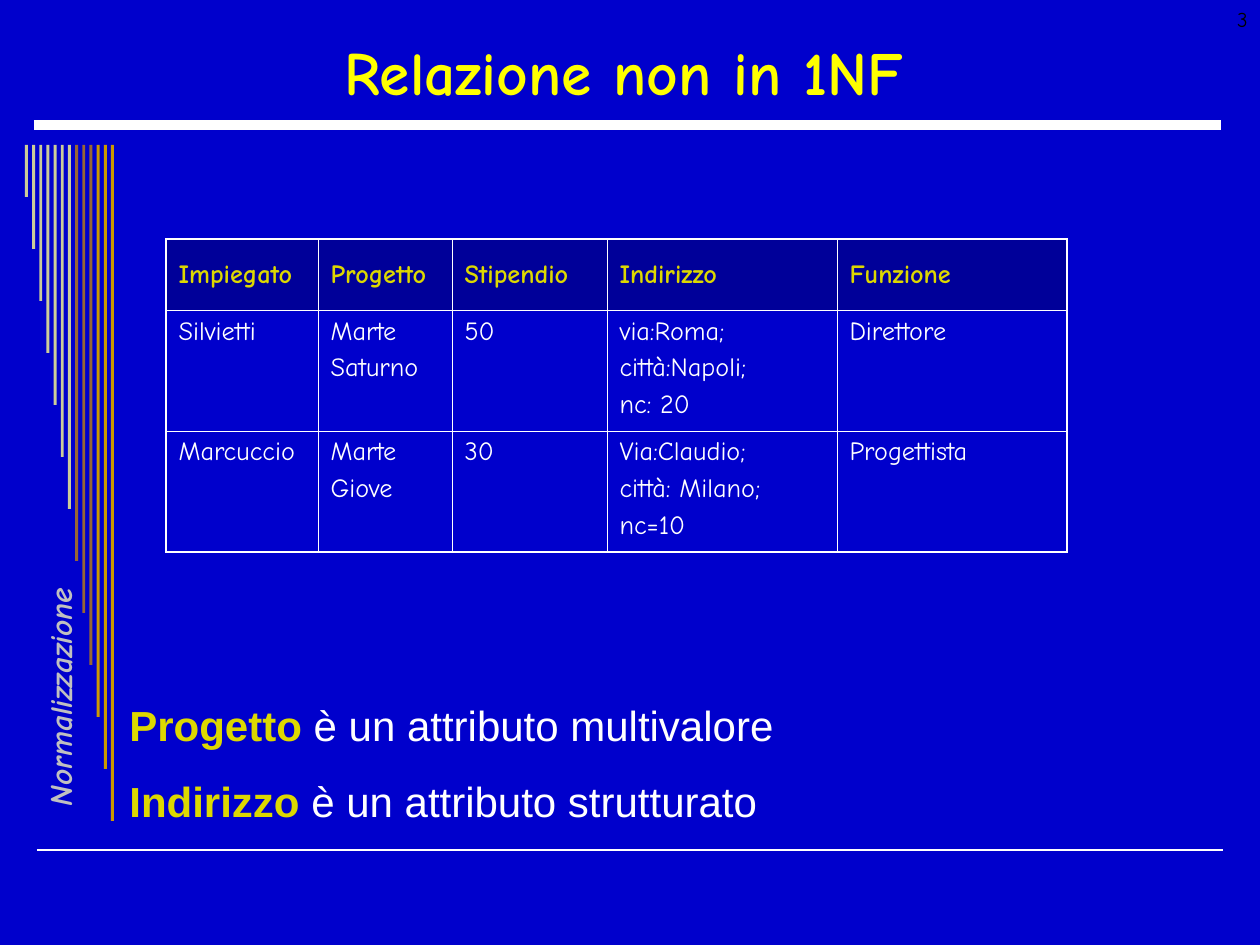
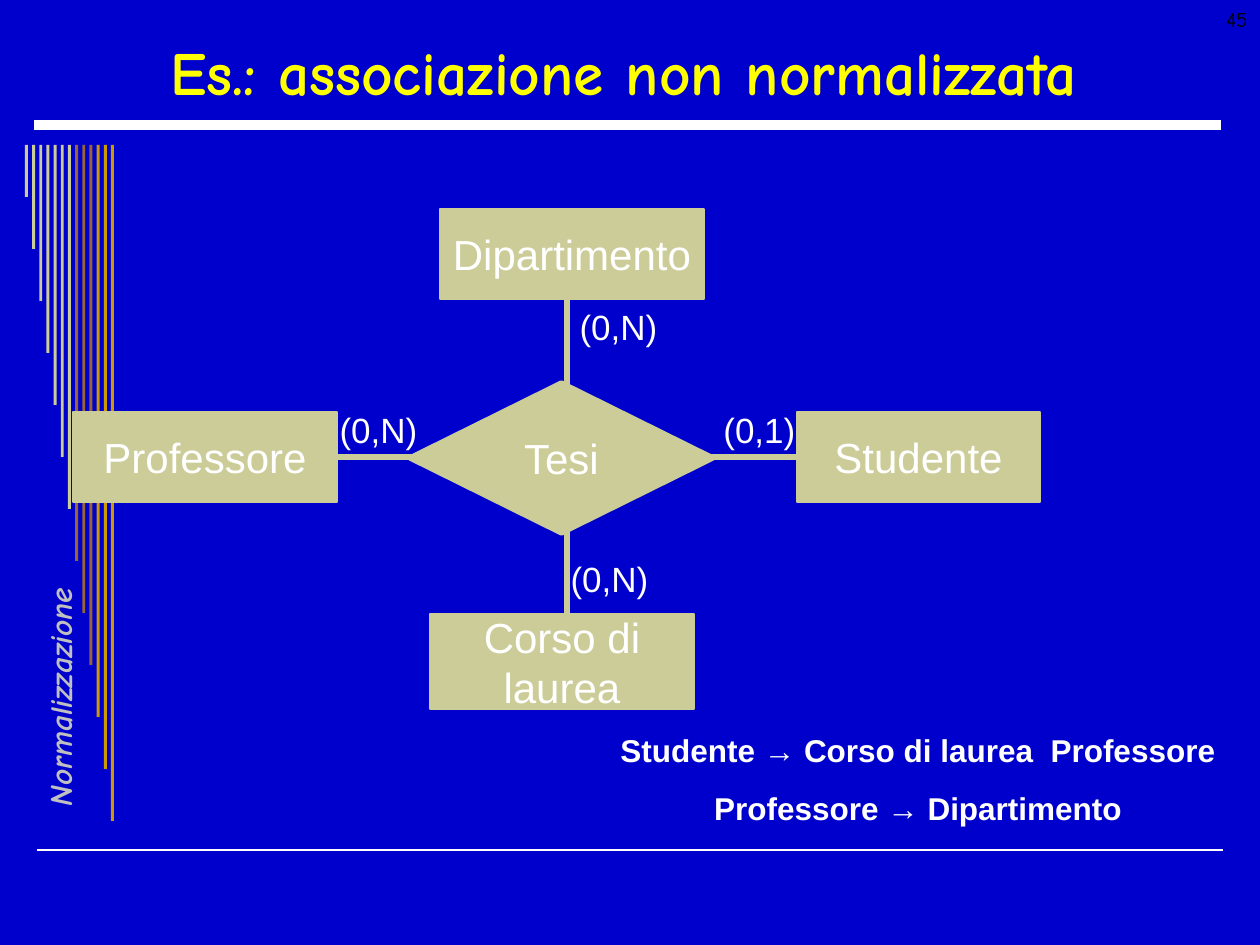
"""Build two lecture slides on database normalization."""
from dataclasses import dataclass

from lxml import etree
from pptx import Presentation, util as u
from pptx.dml.color import RGBColor
from pptx.enum import shapes, text
from pptx.oxml import ns

EMU_PER_PX = 914400 / 126


@dataclass(frozen=True)
class Theme:
    background: str = "0000CC"
    white: str = "FFFFFF"
    black: str = "000000"
    title: str = "FFFF00"
    accent: str = "DDD800"
    header: str = "000099"
    sidebar: str = "C0C0C0"
    sand: str = "CCCC99"
    brown: str = "996633"
    gold: str = "CC9900"
    display_font: str = "Comic Neue"
    body_font: str = "Arial"
    title_size: int = 35
    body_size: int = 24
    label_size: int = 20
    note_size: int = 18
    table_size: int = 15
    number_size: int = 12
    outer_border: float = 1.08
    inner_border: float = 0.45


THEME = Theme()
ALIGN = text.PP_ALIGN
ANCHOR = text.MSO_ANCHOR
HIGHLIGHT = {"color": THEME.accent, "bold": True}


def px(length):
    return u.Emu(round(length * EMU_PER_PX))


def box(*lengths):
    return [px(length) for length in lengths]


def rgb(color):
    return RGBColor.from_string(color)


def format_font(font, size, name, color, bold, italic):
    font.size = u.Pt(size)
    font.name = name
    font.color.rgb = rgb(color)
    font.bold = bold
    font.italic = italic


def write(frame, content, size=THEME.body_size, font=THEME.body_font,
          color=THEME.white, bold=False, italic=False, align=ALIGN.LEFT,
          anchor=ANCHOR.TOP, wrap=True, space_before=0):
    """Fill a frame; each paragraph is a string or a list of (text, format) runs."""
    frame.word_wrap = wrap
    frame.vertical_anchor = anchor
    paragraphs = [content] if isinstance(content, str) else content
    for index, runs in enumerate(paragraphs):
        paragraph = frame.add_paragraph() if index else frame.paragraphs[0]
        paragraph.alignment = align
        paragraph.space_before = u.Pt(space_before if index else 0)
        for words, changes in [(runs, {})] if isinstance(runs, str) else runs:
            run = paragraph.add_run()
            run.text = words
            look = {"color": color, "bold": bold, **changes}
            format_font(run.font, size, font, italic=italic, **look)


def add_text(slide, place, content, **look):
    shape = slide.shapes.add_textbox(*box(*place))
    write(shape.text_frame, content, **look)
    return shape


def add_block(slide, kind, place, color, line_width=0):
    shape = slide.shapes.add_shape(kind, *box(*place))
    shape.shadow.inherit = False
    shape.fill.solid()
    shape.fill.fore_color.rgb = rgb(color)
    if line_width:
        shape.line.color.rgb = rgb(color)
        shape.line.width = u.Pt(line_width)
    else:
        shape.line.fill.background()
    return shape


def add_line(slide, start, end, color, width):
    line = slide.shapes.add_connector(
        shapes.MSO_CONNECTOR.STRAIGHT, *box(*start, *end))
    line.line.color.rgb = rgb(color)
    line.line.width = u.Pt(width)
    etree.SubElement(line._element.spPr, ns.qn("a:effectLst"))
    return line


def add_stripes(slide):
    colors = [THEME.sand] * 7 + [THEME.brown] * 3 + [THEME.gold] * 3
    for index, color in enumerate(colors):
        place = (25 + 7.17 * index, 145, 3, 52 * (index + 1))
        add_block(slide, shapes.MSO_SHAPE.RECTANGLE, place, color)


def add_slide(presentation, title, number):
    slide = presentation.slides.add_slide(presentation.slide_layouts[6])
    add_line(slide, (37, 850), (1223, 850), THEME.white, 1)
    add_line(slide, (34, 125), (1221, 125), THEME.white, 6)
    add_stripes(slide)
    sidebar = add_text(slide, (-94, 660, 287, 30), "Normalizzazione",
                       size=THEME.note_size, font=THEME.display_font,
                       color=THEME.sidebar, bold=True, italic=True, wrap=False)
    sidebar.rotation = 270
    add_text(slide, (44, 26, 1160, 90), title, size=THEME.title_size,
             font=THEME.display_font, color=THEME.title, bold=True,
             align=ALIGN.CENTER, anchor=ANCHOR.MIDDLE)
    add_text(slide, (966, 0, 294, 63), number, size=THEME.number_size,
             font=THEME.display_font, color=THEME.black, align=ALIGN.RIGHT)
    return slide


def set_borders(cell, outer_sides):
    properties = cell._tc.get_or_add_tcPr()
    for side, is_outer in outer_sides.items():
        width = THEME.outer_border if is_outer else THEME.inner_border
        line = etree.SubElement(properties, ns.qn(f"a:ln{side}"), w=str(u.Pt(width)))
        fill = etree.SubElement(line, ns.qn("a:solidFill"))
        etree.SubElement(fill, ns.qn("a:srgbClr"), val=THEME.white)


def add_table(slide, left, top, widths, heights, rows):
    place = box(left, top, sum(widths), sum(heights))
    table = slide.shapes.add_table(len(rows), len(widths), *place).table
    table.first_row = table.horz_banding = False
    for column, width in zip(table.columns, widths):
        column.width = px(width)
    for row, height in zip(table.rows, heights):
        row.height = px(height)
    for row_index, row in enumerate(rows):
        is_header = row_index == 0
        look = dict(HIGHLIGHT, anchor=ANCHOR.MIDDLE) if is_header else {}
        for column_index, content in enumerate(row):
            cell = table.cell(row_index, column_index)
            set_borders(cell, {"L": column_index == 0,
                               "R": column_index == len(widths) - 1,
                               "T": is_header,
                               "B": row_index == len(rows) - 1})
            if is_header:
                cell.fill.solid()
                cell.fill.fore_color.rgb = rgb(THEME.header)
            else:
                cell.fill.background()
            write(cell.text_frame, content, size=THEME.table_size,
                  font=THEME.display_font, space_before=3.7, **look)
            cell.vertical_anchor = look.get("anchor", ANCHOR.TOP)


def add_node(slide, place, content, kind=shapes.MSO_SHAPE.RECTANGLE, line_width=0.75):
    node = add_block(slide, kind, place, THEME.sand, line_width)
    write(node.text_frame, content, align=ALIGN.CENTER,
          anchor=ANCHOR.MIDDLE, wrap=False)
    return node


def add_cardinality(slide, left, top, content):
    add_text(slide, (left, top, 103, 55), content, size=THEME.label_size,
             align=ALIGN.CENTER, anchor=ANCHOR.MIDDLE, wrap=False)


def build_relation_slide(presentation):
    slide = add_slide(presentation, "Relazione non in 1NF", "3")
    rows = [
        ["Impiegato", "Progetto", "Stipendio", "Indirizzo", "Funzione"],
        ["Silvietti", ["Marte", "Saturno"], "50",
         ["via:Roma;", "città:Napoli;", "nc: 20"], "Direttore"],
        ["Marcuccio", ["Marte", "Giove"], "30",
         ["Via:Claudio;", "città: Milano;", "nc=10"], "Progettista"],
    ]
    add_table(slide, 166, 239, [152, 134, 155, 230, 230], [71, 121, 121], rows)
    add_text(slide, (117, 693, 1084, 140), [
        [("Progetto", HIGHLIGHT), (" è un attributo multivalore", {})],
        [("Indirizzo", HIGHLIGHT), (" è un attributo strutturato", {})],
    ], space_before=15)


def build_association_slide(presentation):
    slide = add_slide(presentation, "Es.: associazione non normalizzata", "45")
    professor = add_node(slide, (73, 412, 264, 90), "Professore")
    student = add_node(slide, (797, 412, 243, 90), "Studente")
    add_node(slide, (430, 614, 264, 95), ["Corso di", "laurea"])
    add_node(slide, (440, 209, 264, 90), "Dipartimento")
    horizontal = add_line(slide, (337, 457), (797, 457), THEME.sand, 3)
    horizontal.begin_connect(professor, 3)
    horizontal.end_connect(student, 1)
    add_line(slide, (567, 299), (567, 614), THEME.sand, 3)
    add_node(slide, (410, 383, 303, 150), "Tesi", shapes.MSO_SHAPE.DIAMOND, 3)
    for left, top, content in [(327, 402, "(0,N)"), (708, 402, "(0,1)"),
                               (558, 551, "(0,N)"), (567, 299, "(0,N)")]:
        add_cardinality(slide, left, top, content)
    add_text(slide, (576, 725, 684, 108),
             ["Studente → Corso di laurea  Professore", "Professore → Dipartimento"],
             size=THEME.note_size, bold=True, align=ALIGN.CENTER, space_before=11.2)


def main():
    presentation = Presentation()
    presentation.slide_width, presentation.slide_height = box(1260, 945)
    background = presentation.slide_master.background.fill
    background.solid()
    background.fore_color.rgb = rgb(THEME.background)
    build_relation_slide(presentation)
    build_association_slide(presentation)
    presentation.save("out.pptx")


if __name__ == "__main__":
    main()
